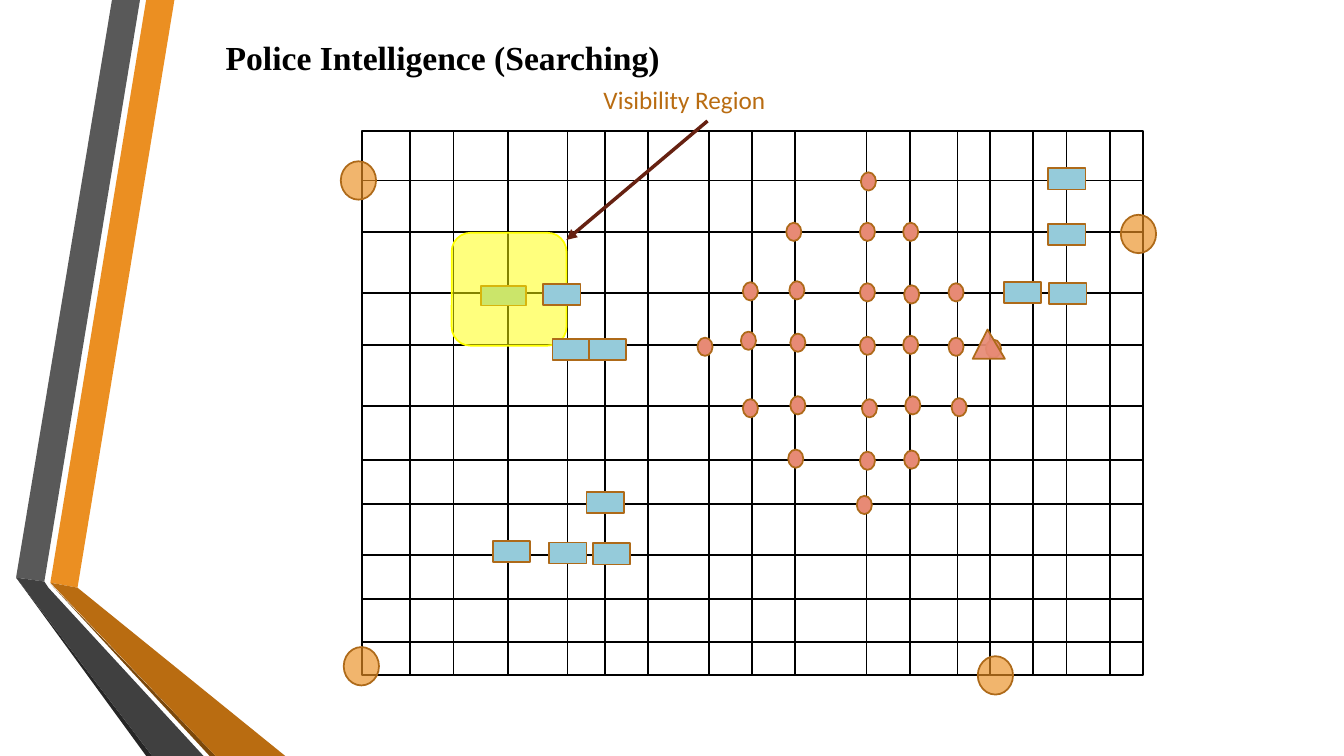
import pptx
import pptx.util
import pptx.dml.color
import pptx.enum.shapes
import pptx.enum.text
import pptx.oxml.ns
import lxml.etree

Pt = pptx.util.Pt
RGBColor = pptx.dml.color.RGBColor
SHAPE = pptx.enum.shapes.MSO_SHAPE
qn = pptx.oxml.ns.qn

BLACK = RGBColor(0x00, 0x00, 0x00)
WHITE = RGBColor(0xFF, 0xFF, 0xFF)
ORANGE = RGBColor(0xEB, 0x8F, 0x22)
DARK_ORANGE = RGBColor(0xB9, 0x6C, 0x11)
BROWN = RGBColor(0x7B, 0x48, 0x0B)
OUTLINE = RGBColor(0xAE, 0x6A, 0x19)
GRAY = RGBColor(0x59, 0x59, 0x59)
DARK_GRAY = RGBColor(0x40, 0x40, 0x40)
CHARCOAL = RGBColor(0x26, 0x26, 0x26)
CORAL = RGBColor(0xE7, 0x8A, 0x75)
BLUE = RGBColor(0x95, 0xCB, 0xDA)
YELLOW = RGBColor(0xFF, 0xFF, 0x00)
MAROON = RGBColor(0x66, 0x21, 0x11)

presentation = pptx.Presentation()
presentation.slide_width = Pt(960)
presentation.slide_height = Pt(540)
slide = presentation.slides.add_slide(presentation.slide_layouts[5])


def paint(shape, fill, line=None, opacity=100):
    shape.shadow.inherit = False
    if fill is None:
        shape.fill.background()
    else:
        shape.fill.solid()
        shape.fill.fore_color.rgb = fill
        if opacity < 100:
            color = shape.fill._xPr.find(qn("a:solidFill"))[0]
            lxml.etree.SubElement(color, qn("a:alpha"), val=str(opacity * 1000))
    if line is None:
        shape.line.fill.background()
    else:
        shape.line.color.rgb = line
        shape.line.width = Pt(1.25)


def add_marker(kind, left, top, width, height, fill, line=OUTLINE, opacity=100):
    shape = slide.shapes.add_shape(kind, Pt(left), Pt(top), Pt(width), Pt(height))
    paint(shape, fill, line, opacity)
    return shape


ribbons = [
    (ORANGE, [(36, 416.2), (55.4, 419.8), (124.6, 0), (104.4, 0)]),
    (GRAY, [(100, 0), (80, 0), (11.5, 412.6), (31.7, 415.4)]),
    (CHARCOAL, [(11.5, 412.6), (104.4, 540), (108.7, 540)]),
    (BROWN, [(36, 416.9), (149.8, 540), (154.1, 540)]),
    (DARK_ORANGE, [(36, 416.2), (154.1, 540), (203.8, 540), (55.4, 419.8)]),
    (DARK_GRAY, [(145.4, 540), (34.6, 419.8), (31.7, 415.4), (11.5, 412.6), (108.7, 540)]),
]
for color, corners in ribbons:
    points = [(Pt(x), Pt(y)) for x, y in corners]
    builder = slide.shapes.build_freeform(*points[0])
    builder.add_line_segments(points[1:], close=True)
    paint(builder.convert_to_shape(), color)

grid_left, grid_top, grid_width, grid_height = 258.5, 93.6, 558, 388.8
columns = [(grid_left, grid_width), (293, 31), (362.9, 42.5), (432, 31), (506.2, 31),
           (568, 51), (650.2, 33.8), (707, 31), (761.8, 31)]
rows = [(128.9, 36.7), (209.5, 36.7), (290.2, 38.2), (360, 36.7), (427.7, 31)]
for left, width in columns:
    add_marker(SHAPE.RECTANGLE, left, grid_top, width, grid_height, WHITE, BLACK)
for top, height in rows:
    add_marker(SHAPE.RECTANGLE, grid_left, top, grid_width, height, None, BLACK)

title = slide.shapes.title
title.left, title.top, title.width, title.height = Pt(154), Pt(23), Pt(490), Pt(36)
title.text_frame.text = "Police Intelligence (Searching)"
title.text_frame.vertical_anchor = pptx.enum.text.MSO_ANCHOR.TOP
paragraph = title.text_frame.paragraphs[0]
paragraph.alignment = pptx.enum.text.PP_ALIGN.LEFT
paragraph.font.name = "Times New Roman"
paragraph.font.size = Pt(24)
paragraph.font.bold = True
paragraph.font.color.rgb = BLACK

for left, top in [(243.4, 115.2), (245.5, 462.2), (698.4, 468.7), (800.6, 153.4)]:
    add_marker(SHAPE.OVAL, left, top, 25.2, 27.4, ORANGE, opacity=66)

add_marker(SHAPE.RECTANGLE, 343.4, 204.5, 32.4, 13.7, BLUE)
add_marker(SHAPE.ROUNDED_RECTANGLE, 322.6, 166.3, 82, 80.6, YELLOW, YELLOW, 51)

label = slide.shapes.add_textbox(Pt(424), Pt(57), Pt(164), Pt(29))
label.text_frame.word_wrap = True
label.text_frame.text = "Visibility Region"
paragraph = label.text_frame.paragraphs[0]
paragraph.font.name = "Calibri"
paragraph.font.size = Pt(18)
paragraph.font.color.rgb = DARK_ORANGE

arrow = slide.shapes.add_connector(
    pptx.enum.shapes.MSO_CONNECTOR.STRAIGHT, Pt(505.4), Pt(86.4), Pt(404.6), Pt(171.4))
arrow.line.color.rgb = MAROON
arrow.line.width = Pt(2.5)
lxml.etree.SubElement(arrow.line._get_or_add_ln(), qn("a:tailEnd"), type="triangle")
lxml.etree.SubElement(arrow._element.spPr, qn("a:effectLst"))

search_nodes = [
    (614.9, 123.1),
    (561.6, 159.1), (614.2, 159.1), (645.1, 159.1),
    (530.6, 201.6), (563.8, 200.9), (614.2, 202.3), (645.8, 203.8), (677.5, 202.3),
    (498.2, 241.2), (529.2, 236.9), (564.5, 238.3), (614.2, 240.5), (645.1, 239.8),
    (677.5, 241.2), (704.2, 242.6),
    (530.6, 285.1), (564.5, 283), (615.6, 285.1), (646.6, 283), (679.7, 284.4),
    (563, 321.1), (614.2, 322.6), (645.8, 321.8),
    (612, 354.2),
]
for left, top in search_nodes:
    add_marker(SHAPE.OVAL, left, top, 10.8, 13, CORAL)

blocks = [
    (388.1, 203), (394.6, 241.9), (420.5, 241.9),
    (419, 351.4), (352.1, 386.6), (392.4, 387.4), (423.4, 388.1),
    (748.8, 120.2), (748.8, 159.8), (749.5, 202.3), (717.1, 201.6),
]
for left, top in blocks:
    add_marker(SHAPE.RECTANGLE, left, top, 26.6, 15.1, BLUE)

police = add_marker(SHAPE.ISOSCELES_TRIANGLE, 694.8, 235.4, 23, 20.9, CORAL, opacity=93)
police.adjustments[0] = 0.46

presentation.save("out.pptx")
